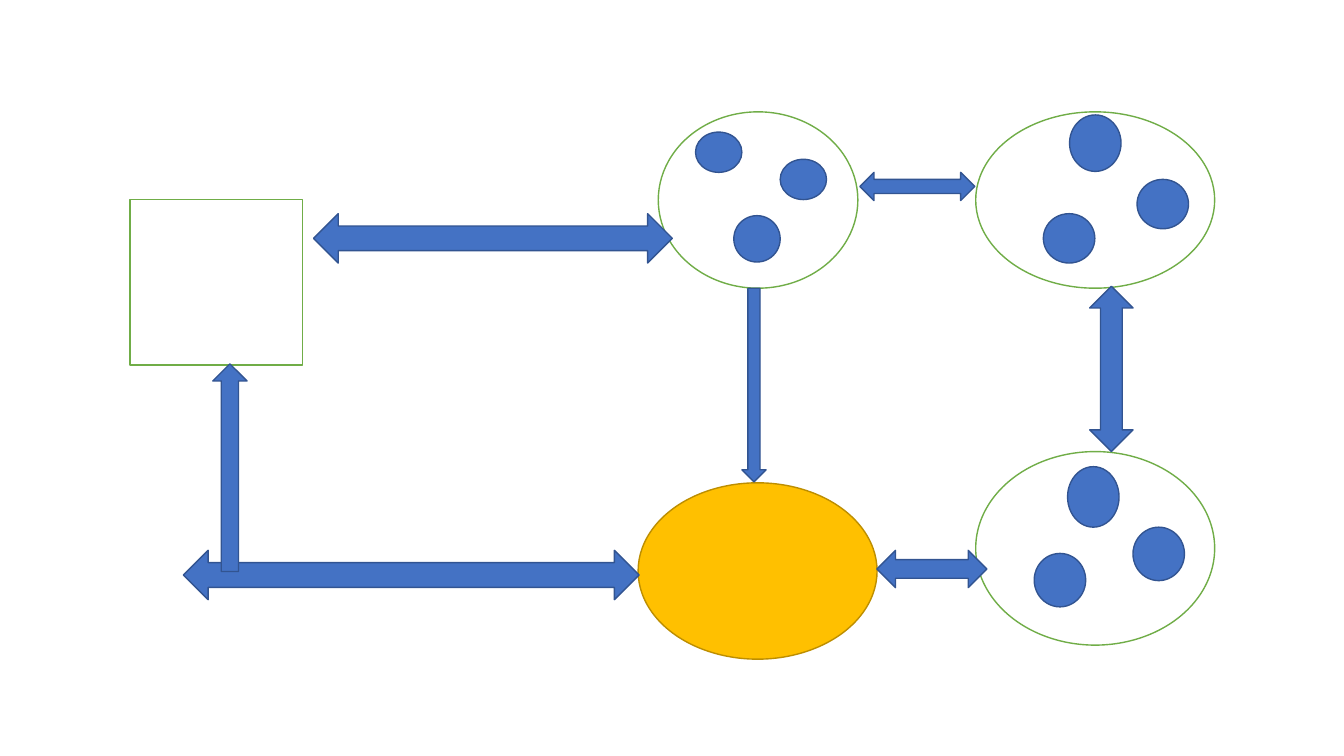
"""Build a diagram of a square node, three dotted clusters and a central hub joined by block arrows."""
from pptx import Presentation
from pptx import util as u
from pptx.dml.color import RGBColor
from pptx.enum import shapes

THEME = {
    "open": ("FFFFFF", "70AD47"),
    "hub": ("FFC000", "BD8E00"),
    "solid": ("4472C4", "325491"),
    "outline": u.Pt(1),
}
KIND = shapes.MSO_SHAPE

deck = Presentation()
deck.slide_width, deck.slide_height = u.Inches(13.33), u.Inches(7.5)
column, row = deck.slide_width / 100, deck.slide_height / 100
slide = deck.slides.add_slide(deck.slide_layouts[6])


def place(kind, left, top, width, height, style):
    """Draw one shape, measured in hundredths of the slide's width and height."""
    part = slide.shapes.add_shape(
        kind, round(left * column), round(top * row), round(width * column), round(height * row))
    part.shadow.inherit = False
    fill, line = (RGBColor.from_string(colour) for colour in THEME[style])
    part.fill.solid()
    part.fill.fore_color.rgb = fill
    part.line.color.rgb = line
    part.line.width = THEME["outline"]


right_column, top_row = 72.6, 14.8
wide, tall = 17.78, 23.33

clusters = [
    ((right_column, top_row, wide, tall), 3.83,
     [(79.58, 15.2, 7.47), (84.6, 23.73, 6.53), (77.63, 28.27, 6.53)]),
    ((right_column, 59.73, wide, 25.6), 3.83,
     [(79.43, 61.73, 8), (84.3, 69.73, 7.07), (76.95, 73.2, 7.07)]),
    ((48.98, top_row, 14.85, tall), 3.45,
     [(51.75, 17.47, 5.33), (58.05, 21.07, 5.33), (54.6, 28.53, 6.13)]),
]
for ring, dot_width, dots in clusters:
    place(KIND.OVAL, *ring, "open")
    for left, top, dot_height in dots:
        place(KIND.OVAL, left, top, dot_width, dot_height, "solid")

place(KIND.OVAL, 47.48, 63.87, wide, tall, "hub")
place(KIND.RECTANGLE, 9.68, 26.4, 12.83, 21.87, "open")

arrows = [
    (KIND.LEFT_RIGHT_ARROW, 63.98, 22.8, 8.55, 3.73),
    (KIND.UP_DOWN_ARROW, 81.08, 37.87, 3.23, 21.87),
    (KIND.LEFT_RIGHT_ARROW, 65.25, 72.8, 8.18, 4.93),
    (KIND.DOWN_ARROW, 55.2, 38.13, 1.8, 25.6),
    (KIND.LEFT_RIGHT_ARROW, 23.33, 28.27, 26.7, 6.53),
    (KIND.LEFT_RIGHT_ARROW, 13.65, 72.8, 33.9, 6.53),
    (KIND.UP_ARROW, 15.83, 48.13, 2.55, 27.47),
]
for arrow in arrows:
    place(*arrow, "solid")

deck.save("out.pptx")
